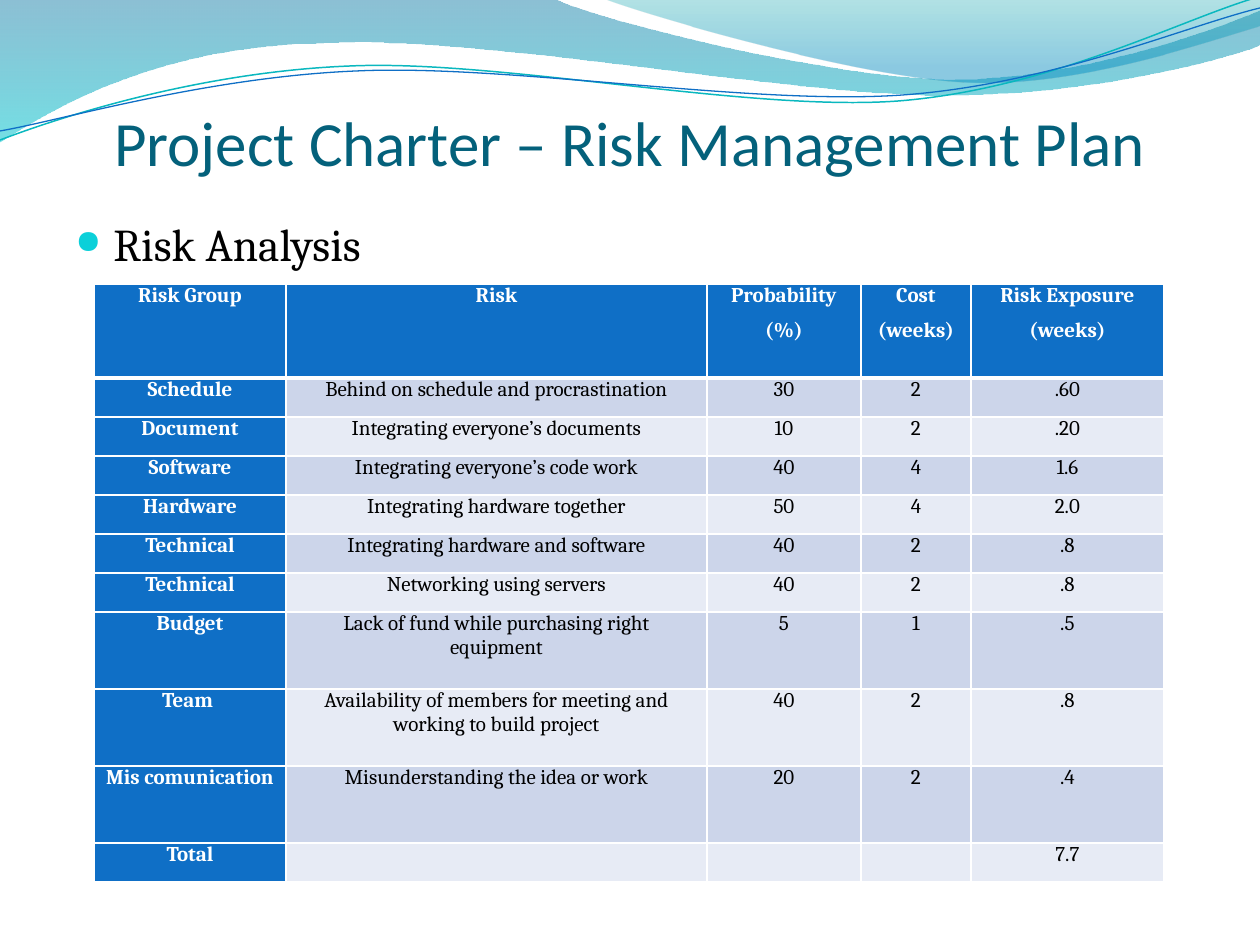
"""Builds a risk management plan slide with a wave banner and a risk table."""
from lxml.etree import SubElement
from pptx import Presentation
from pptx.dml.color import RGBColor
from pptx.enum.text import MSO_ANCHOR, MSO_AUTO_SIZE, PP_ALIGN
from pptx.oxml.ns import qn
from pptx.util import Pt

EMU_PER_PX = 914400 / 126
COLORS = {
    "title": "04617B", "text": "000000", "white": "FFFFFF", "bullet": "0BD0D9",
    "header": "0F6FC6", "odd": "CCD5EA", "even": "E7EBF5",
    "teal_line": "0AB8BF", "blue_line": "0F6FC6",
    "deep_blue": "0074A1", "cyan": "00C6CF", "teal": "00A1A9", "sky": "008BBF",
}

LEFT_WAVE = [(-1, 0), (554, -1), (600, 21, 837, 79, 955, 79), (1075, 79, 1207, 33, 1260, 11),
             (1261, 45), (1239, 55, 1096, 96, 940, 95), (784, 95, 481, 35, 324, 43),
             (163, 45, 58, 105, -1, 142)]
RIGHT_WAVE = [(604, -1), (641, 14, 859, 78, 969, 82), (1079, 87, 1211, 40, 1260, 26), (1260, 0)]
TEAL_LINE = [(0, 140), (60, 117, 199, 72, 349, 66), (498, 59, 747, 112, 898, 101),
             (1050, 89, 1182, 19, 1258, -3)]
BLUE_LINE = [(0, 131), (59, 121, 207, 77, 357, 71), (508, 64, 752, 106, 903, 95),
             (1053, 84, 1186, 26, 1260, 8)]

COLUMN_WIDTHS = [192, 421, 154, 110, 193]
ROW_HEIGHTS = [94] + [39] * 6 + [77] * 3 + [39]
RISKS = [
    ("Risk Group", "Risk", "Probability\n(%)", "Cost\n(weeks)", "Risk Exposure\n(weeks)"),
    ("Schedule", "Behind on schedule and procrastination", "30", "2", ".60"),
    ("Document", "Integrating everyone’s documents", "10", "2", ".20"),
    ("Software", "Integrating everyone’s code work", "40", "4", "1.6"),
    ("Hardware", "Integrating hardware together", "50", "4", "2.0"),
    ("Technical", "Integrating hardware and software", "40", "2", ".8"),
    ("Technical", "Networking using servers", "40", "2", ".8"),
    ("Budget", "Lack of fund while purchasing right equipment", "5", "1", ".5"),
    ("Team ", "Availability of members for meeting and working to build project", "40", "2", ".8"),
    ("Mis comunication", "Misunderstanding the idea or work", "20", "2", ".4"),
    ("Total", "", "", "", "7.7"),
]


def px(length):
    return round(length * EMU_PER_PX)


def rgb(name):
    return RGBColor.from_string(COLORS[name])


def write(frame, text, size, color, font="Cambria", bold=False, align=PP_ALIGN.LEFT, before=0):
    for index, line in enumerate(text.split("\n")):
        para = frame.paragraphs[0] if index == 0 else frame.add_paragraph()
        para.alignment = align
        para.space_before = Pt(before)
        if not line:
            SubElement(para._p, qn("a:endParaRPr"), sz=str(size * 100))
            continue
        span = para.add_run()
        span.text = line
        span.font.name = font
        span.font.size = Pt(size)
        span.font.bold = bold
        span.font.color.rgb = rgb(color)


class SlideBuilder:
    def __init__(self, deck):
        self.slide = deck.slides.add_slide(deck.slide_layouts[5])
        self.shapes = self.slide.shapes

    def outline(self, outline, closed):
        ends = [segment[-2:] for segment in outline]
        builder = self.shapes.build_freeform(*ends[0], scale=EMU_PER_PX)
        builder.add_line_segments(ends[1:], close=closed)
        shape = builder.convert_to_shape()
        shape.shadow.inherit = False
        left, top = map(min, zip(*ends))
        lines = list(shape.element.iter(qn("a:lnTo")))
        for line, segment in zip(lines, outline[1:]):
            if len(segment) == 6:
                curve = line.makeelement(qn("a:cubicBezTo"))
                for x, y in zip(segment[::2], segment[1::2]):
                    SubElement(curve, qn("a:pt"), x=str(x - left), y=str(y - top))
                line.getparent().replace(line, curve)
        return shape

    def wave(self, outline, stops):
        shape = self.outline(outline, True)
        shape.line.fill.background()
        shape.fill.gradient()
        shape.fill.gradient_angle = 270
        for stop, (position, color, _) in zip(shape.fill.gradient_stops, stops):
            stop.position = position
            stop.color.rgb = rgb(color)
        tints = shape.element.spPr.iter(qn("a:srgbClr"))
        for tint, (_, _, opacity) in zip(tints, stops):
            SubElement(tint, qn("a:alpha"), val=str(opacity * 1000))

    def curve(self, outline, color, width):
        shape = self.outline(outline, False)
        shape.fill.background()
        shape.line.color.rgb = rgb(color)
        shape.line.width = Pt(width)

    def title(self, text, left, top, width, height):
        box = self.shapes.title
        box.left, box.top, box.width, box.height = map(px, (left, top, width, height))
        frame = box.text_frame
        frame.auto_size = MSO_AUTO_SIZE.NONE
        frame.vertical_anchor = MSO_ANCHOR.TOP
        frame.margin_left = frame.margin_right = frame.margin_bottom = 0
        frame.margin_top = px(7)
        write(frame, text, 36, "title", font="Calibri", align=PP_ALIGN.CENTER)
        self.shapes.element.append(box.element)

    def bullet(self, text, left, top, width, height):
        box = self.shapes.add_textbox(*map(px, (left, top, width, height)))
        box.text_frame.word_wrap = True
        write(box.text_frame, text, 26, "text", before=5)
        properties = box.text_frame.paragraphs[0]._p.get_or_add_pPr()
        properties.set("marL", str(px(38)))
        properties.set("indent", str(px(-38)))
        SubElement(SubElement(properties, qn("a:buClr")), qn("a:srgbClr"), val=COLORS["bullet"])
        SubElement(properties, qn("a:buSzPct"), val="72000")
        SubElement(properties, qn("a:buChar"), char="●")

    def border(self, cell, widths):
        properties = cell._tc.get_or_add_tcPr()
        for index, (side, width) in enumerate(widths.items()):
            line = properties.makeelement(qn(f"a:ln{side}"), {"w": str(Pt(width))})
            properties.insert(index, line)
            SubElement(SubElement(line, qn("a:solidFill")), qn("a:srgbClr"), val=COLORS["white"])

    def table(self, rows, left, top):
        table = self.shapes.add_table(len(rows), len(COLUMN_WIDTHS), px(left), px(top),
                                      px(sum(COLUMN_WIDTHS)), px(sum(ROW_HEIGHTS))).table
        table.first_col = True
        for column, width in zip(table.columns, COLUMN_WIDTHS):
            column.width = px(width)
        for r, texts in enumerate(rows):
            table.rows[r].height = px(ROW_HEIGHTS[r])
            for c, text in enumerate(texts):
                cell = table.cell(r, c)
                heading = r == 0 or c == 0
                cell.margin_left = cell.margin_right = px(9)
                cell.margin_top = cell.margin_bottom = 0
                cell.fill.solid()
                cell.fill.fore_color.rgb = rgb("header" if heading else "odd" if r % 2 else "even")
                write(cell.text_frame, text, 12, "white" if heading else "text",
                      bold=heading, align=PP_ALIGN.CENTER, before=6)
                self.border(cell, {"L": 1, "R": 1, "T": 3 if r == 1 else 1, "B": 3 if r == 0 else 1})


def main():
    deck = Presentation()
    deck.slide_width, deck.slide_height = px(1260), px(945)
    page = SlideBuilder(deck)
    page.wave(LEFT_WAVE, [(0, "deep_blue", 45), (1, "cyan", 55)])
    page.wave(RIGHT_WAVE, [(0, "teal", 30), (0.8, "sky", 45)])
    page.curve(TEAL_LINE, "teal_line", 0.85)
    page.curve(BLUE_LINE, "blue_line", 0.75)
    page.title("Project Charter – Risk Management Plan", 63, 97, 1134, 158)
    page.bullet("Risk Analysis", 63, 210, 1134, 605)
    page.table(RISKS, 94, 284)
    deck.save("out.pptx")


if __name__ == "__main__":
    main()
